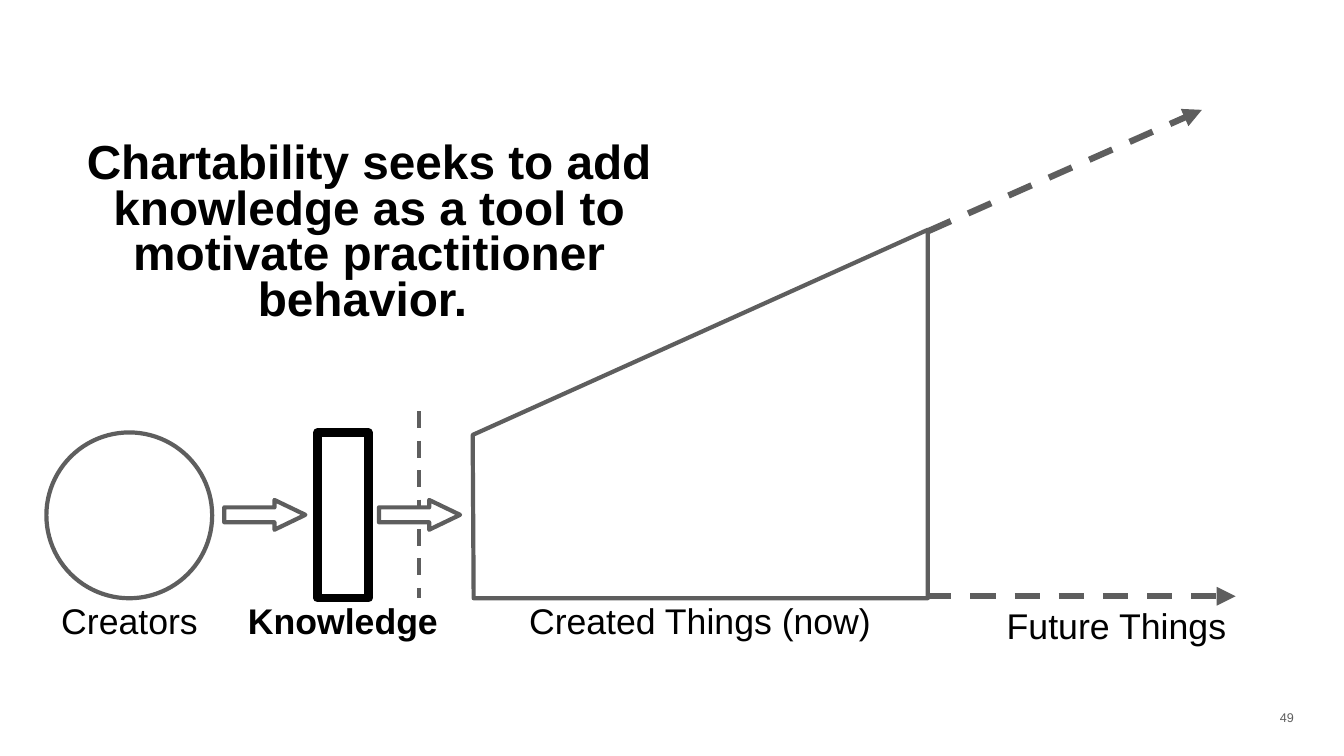
"""Build the slide on how knowledge feeds from creators into created and future things."""
from lxml import etree
from pptx import Presentation
from pptx.dml.color import RGBColor
from pptx.enum import dml, shapes, text
from pptx.oxml.ns import qn
from pptx.util import Inches, Pt

WIDTH, HEIGHT = 26.67, 15
GREY, BLACK, WHITE = "5E5E5E", "000000", "FFFFFF"
BASE, TALL = 11.87, 3.29
TOP = BASE - TALL
LABEL_TOP = BASE + 0.05
ARROW_WIDTH, ARROW_HEIGHT = 1.61, 0.59
ARROW_TOP = BASE - (TALL + ARROW_HEIGHT) / 2 - 0.01

HEADLINE = "Chartability seeks to add knowledge as a tool to motivate practitioner behavior. "
# wording, left, width, height, size, bold, line spacing
LABELS = [
    ("Creators", 0.63, 3.88, 1.15, 50.9, False, 0.9),
    ("Knowledge", 4.3, 5.01, 1.15, 50.9, True, 0.9),
    ("Created Things (now)", 9.51, 8.76, 1.15, 50.9, False, 0.9),
    ("Future Things", 17.95, 8.41, 1.63, 51, False, 1.0),
]
CREATED_THINGS = [(9.38, 8.63), (9.4, BASE), (18.41, BASE), (18.41, 4.56)]
ARROW_LEFTS = [4.45, 7.52]
DIVIDER = (8.32, 8.16, 8.32, BASE)
FUTURE_LINES = [(18.41, 4.59, 23.85, 2.18), (18.38, 11.83, 24.52, 11.83)]


def colour(code):
    return RGBColor.from_string(code)


def outline(shape, line_colour=GREY, weight=6):
    shape.shadow.inherit = False
    shape.fill.solid()
    shape.fill.fore_color.rgb = colour(WHITE)
    shape.line.color.rgb = colour(line_colour)
    shape.line.width = Pt(weight)


def add_outlined(page, kind, *place, **style):
    shape = page.shapes.add_shape(kind, *map(Inches, place))
    outline(shape, **style)
    return shape


def add_dashed(page, ends, weight, arrow=False):
    connector = page.shapes.add_connector(shapes.MSO_CONNECTOR.STRAIGHT, *map(Inches, ends))
    connector.line.color.rgb = colour(GREY)
    connector.line.width = Pt(weight)
    connector.line.dash_style = dml.MSO_LINE.DASH
    if arrow:
        etree.SubElement(connector.line._get_or_add_ln(), qn("a:tailEnd"), type="triangle")
    etree.SubElement(connector._element.spPr, qn("a:effectLst"))


def write(box, wording, size, bold=False, spacing=1.0, code=BLACK, align=text.PP_ALIGN.CENTER):
    frame = box.text_frame
    frame.text = wording
    frame.word_wrap = True
    frame.auto_size = text.MSO_AUTO_SIZE.NONE
    frame.vertical_anchor = text.MSO_ANCHOR.TOP
    frame.margin_left = frame.margin_right = Inches(0.06)
    frame.margin_top = frame.margin_bottom = Inches(0.06)
    para = frame.paragraphs[0]
    para.alignment, para.line_spacing = align, spacing
    for span in para.runs:
        span.font.name, span.font.size, span.font.bold = "Arial", Pt(size), bold
        span.font.color.rgb = colour(code)


def main():
    deck = Presentation()
    deck.slide_width, deck.slide_height = Inches(WIDTH), Inches(HEIGHT)
    page = deck.slides.add_slide(deck.slide_layouts[5])

    title = page.shapes.title
    title.left, title.top, title.width, title.height = map(Inches, (0.63, 2.77, 13.39, 4.29))
    write(title, HEADLINE, 68.2, True, 0.8)

    kinds = shapes.MSO_SHAPE
    add_outlined(page, kinds.RECTANGLE, 6.3, TOP, 1.01, TALL, line_colour=BLACK, weight=12)
    add_outlined(page, kinds.OVAL, 0.92, TOP, TALL, TALL)

    corners = [(Inches(x), Inches(y)) for x, y in CREATED_THINGS]
    builder = page.shapes.build_freeform(*corners[0])
    builder.add_line_segments(corners[1:], close=True)
    outline(builder.convert_to_shape())

    add_dashed(page, DIVIDER, 6)
    for left in ARROW_LEFTS:
        arrow = add_outlined(page, kinds.RIGHT_ARROW, left, ARROW_TOP, ARROW_WIDTH, ARROW_HEIGHT)
        arrow.adjustments[0], arrow.adjustments[1] = 0.5, 1.04
    for ends in FUTURE_LINES:
        add_dashed(page, ends, 9, arrow=True)

    for wording, left, width, height, size, bold, spacing in LABELS:
        box = page.shapes.add_textbox(*map(Inches, (left, LABEL_TOP, width, height)))
        write(box, wording, size, bold, spacing)
    number = page.shapes.add_textbox(*map(Inches, (25.34, 14.02, 0.66, 0.7)))
    write(number, "49", 18, code=GREY, align=text.PP_ALIGN.LEFT)

    deck.save("out.pptx")


if __name__ == "__main__":
    main()
